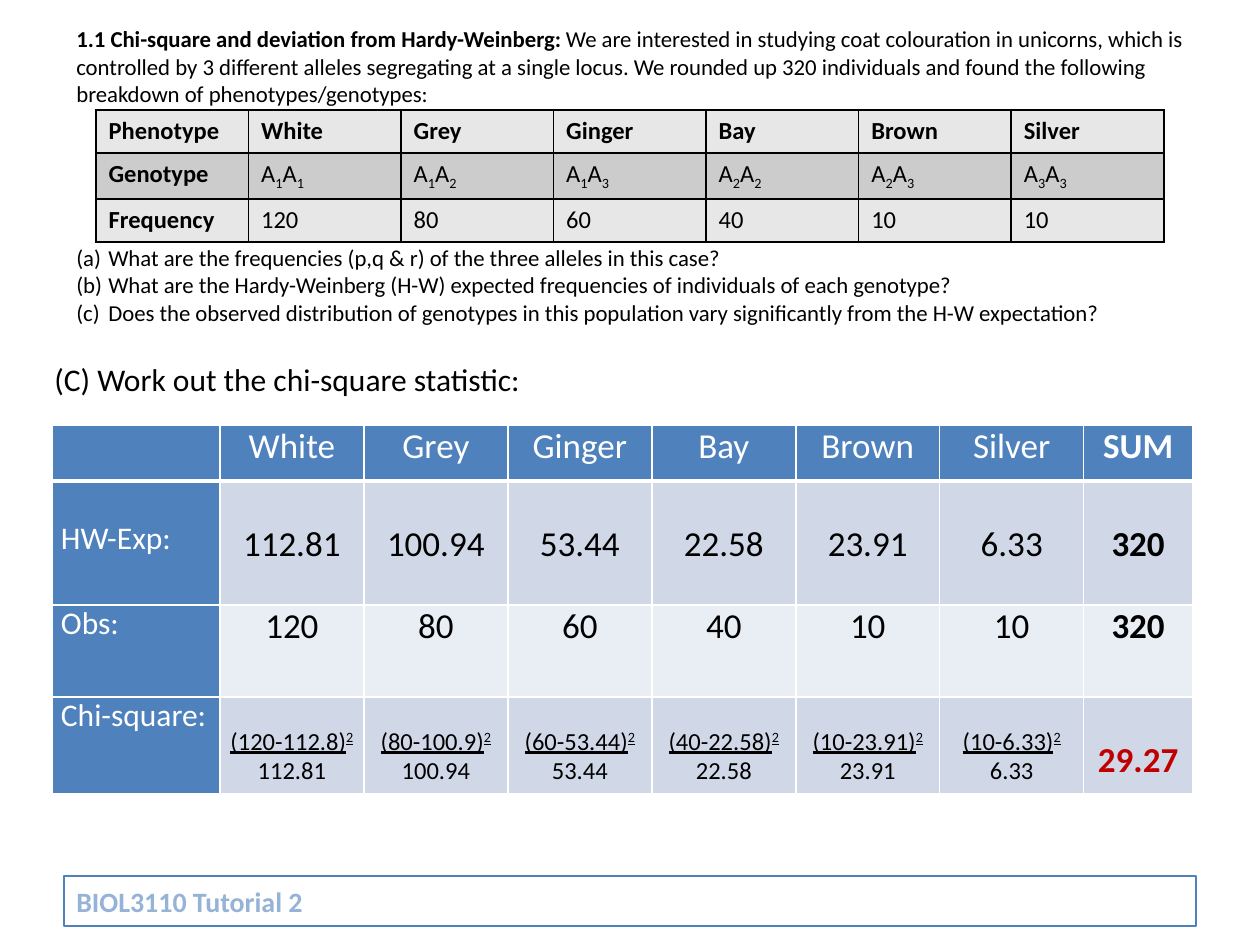
from lxml.etree import SubElement
from pptx import Presentation
from pptx.dml.color import RGBColor
from pptx.enum.shapes import MSO_SHAPE as Shape
from pptx.enum.text import MSO_ANCHOR as Anchor, PP_ALIGN as Align
from pptx.oxml.ns import qn
from pptx.util import Emu, Pt

FONT = "Calibri"
COLORS = {
    "white": "FFFFFF", "black": "000000", "blue": "4F81BD", "pale_blue": "95B3D7",
    "light_gray": "E7E7E7", "gray": "CCCCCC",
    "band": "D0D8E8", "light_band": "E9EDF4", "red": "C00000",
}
COATS = ["White", "Grey", "Ginger", "Bay", "Brown", "Silver"]
GENOTYPES = ["11", "12", "13", "22", "23", "33"]
OBSERVED = ["120", "80", "60", "40", "10", "10"]
EXPECTED = ["112.81", "100.94", "53.44", "22.58", "23.91", "6.33"]
DIFFERENCES = ["120-112.8", "80-100.9", "60-53.44", "40-22.58", "10-23.91", "10-6.33"]
QUESTIONS = [
    "What are the frequencies (p,q & r) of the three alleles in this case?",
    "What are the Hardy-Weinberg (H-W) expected frequencies of individuals of each genotype?",
    "Does the observed distribution of genotypes in this population vary significantly "
    "from the H-W expectation?",
]


def px(count):
    return Emu(round(count * 914400 / 126))


def rgb(name):
    return RGBColor.from_string(COLORS[name])


def add_span(para, text, size, color="black", bold=False, underline=False, baseline=0):
    span = para.add_run()
    span.text = text
    font = span.font
    font.name, font.size, font.bold = FONT, Pt(size), bold
    font.underline = underline
    font.color.rgb = rgb(color)
    if baseline:
        span._r.get_or_add_rPr().set("baseline", str(baseline * 1000))


def add_text_box(page, box):
    frame = page.shapes.add_textbox(*map(px, box)).text_frame
    frame.word_wrap = True
    return frame


def add_plain_table(page, box, rows, columns):
    table = page.shapes.add_table(rows, columns, *map(px, box)).table
    table.first_row = table.horz_banding = False
    return table


def style_cell(cell, fill, line, top=1, bottom=1):
    """Draw the four borders of a cell, then its fill, in schema order."""
    properties = cell._tc.get_or_add_tcPr()
    for side, width in (("L", 1), ("R", 1), ("T", top), ("B", bottom)):
        border = SubElement(properties, qn(f"a:ln{side}"), w=str(Pt(width)))
        solid = SubElement(border, qn("a:solidFill"))
        SubElement(solid, qn("a:srgbClr"), val=COLORS[line])
    cell.fill.solid()
    cell.fill.fore_color.rgb = rgb(fill)


def add_footer(page, box):
    bar = page.shapes.add_shape(Shape.RECTANGLE, *map(px, box))
    bar.shadow.inherit = False
    bar.fill.solid()
    bar.fill.fore_color.rgb = rgb("white")
    bar.line.color.rgb = rgb("blue")
    bar.line.width = Pt(0.75)
    bar.text_frame.vertical_anchor = Anchor.MIDDLE
    para = bar.text_frame.paragraphs[0]
    para.alignment = Align.LEFT
    add_span(para, "BIOL3110 Tutorial 2", 16, "pale_blue", bold=True)


def add_problem(page, box):
    """Place the introduction and, below room for the genotype table, the questions."""
    frame = add_text_box(page, box)
    intro = frame.paragraphs[0]
    add_span(intro, "1.1 Chi-square and deviation from Hardy-Weinberg:", 13, bold=True)
    add_span(intro, " We are interested in studying coat colouration in unicorns, which is "
             "controlled by 3 different alleles segregating at a single locus. We rounded up "
             "320 individuals and found the following breakdown of phenotypes/genotypes:", 13)
    for index, question in enumerate(QUESTIONS):
        para = frame.add_paragraph()
        properties = para._p.get_or_add_pPr()
        properties.set("marL", str(px(32)))
        properties.set("indent", str(-px(32)))
        if index == 0:
            para.space_before = Pt(78)
        SubElement(properties, qn("a:buFont"), typeface=FONT)
        SubElement(properties, qn("a:buAutoNum"), type="alphaLcParenBoth")
        add_span(para, question, 13)


def add_genotype_table(page, box):
    rows = [["Phenotype", *COATS], ["Genotype", *GENOTYPES], ["Frequency", *OBSERVED]]
    table = add_plain_table(page, box, len(rows), len(rows[0]))
    for row, values in enumerate(rows):
        for column, value in enumerate(values):
            cell = table.cell(row, column)
            style_cell(cell, "gray" if row == 1 else "light_gray", "black")
            para = cell.text_frame.paragraphs[0]
            if row == 1 and column:
                for allele in value:
                    add_span(para, "A", 14)
                    add_span(para, allele, 14, baseline=-25)
            else:
                add_span(para, value, 14, bold=row == 0 or column == 0)


def add_heading(page, box):
    para = add_text_box(page, box).paragraphs[0]
    add_span(para, "(C) Work out the chi-square statistic:", 18)


def add_fraction(frame, difference, divisor):
    top, bottom = frame.paragraphs[0], frame.add_paragraph()
    top.alignment = bottom.alignment = Align.CENTER
    add_span(top, f"({difference})", 14, underline=True)
    add_span(top, "2", 14, underline=True, baseline=30)
    add_span(bottom, divisor, 14)


def add_chi_square_table(page, box):
    rows = [
        ["", *COATS, "SUM"],
        ["HW-Exp:", *EXPECTED, "320"],
        ["Obs:", *OBSERVED, "320"],
        ["Chi-square:", *DIFFERENCES, "29.27"],
    ]
    fills = ["blue", "band", "light_band", "band"]
    table = add_plain_table(page, box, len(rows), len(rows[0]))
    for column, width in zip(table.columns, [168] + [144] * 6 + [109]):
        column.width = px(width)
    for row, height in zip(table.rows, [56, 124, 92, 97]):
        row.height = px(height)
    last = len(rows[0]) - 1
    for row, values in enumerate(rows):
        for column, value in enumerate(values):
            cell = table.cell(row, column)
            is_label, is_sum = column == 0, column == last
            is_fraction = row == 3 and not is_label and not is_sum
            style_cell(cell, "blue" if is_label else fills[row], "white",
                       top=3 if row == 1 else 1, bottom=3 if row == 0 else 1)
            size = 18 if is_label else 14 if is_fraction else 20
            # Some cells start one text line below the top edge.
            lowered = row == 1 or (row == 3 and not is_label)
            cell.margin_left = cell.margin_right = px(9)
            cell.margin_top = Pt(size * 1.22) if lowered else 0
            cell.margin_bottom = 0
            if is_fraction:
                add_fraction(cell.text_frame, value, EXPECTED[column - 1])
            elif value:
                para = cell.text_frame.paragraphs[0]
                para.alignment = Align.LEFT if is_label else Align.CENTER
                color = "white" if is_label or row == 0 else "black"
                if row == 3 and is_sum:
                    color = "red"
                add_span(para, value, size, color, bold=is_sum)


def main():
    deck = Presentation()
    deck.slide_width, deck.slide_height = px(1260), px(945)
    page = deck.slides.add_slide(deck.slide_layouts[6])
    add_footer(page, (64, 876, 1132, 50))
    add_problem(page, (64, 19, 1132, 373))
    add_genotype_table(page, (96, 110, 1068, 129))
    add_heading(page, (42, 354, 1162, 441))
    add_chi_square_table(page, (52, 425, 1141, 369))
    deck.save("out.pptx")


if __name__ == "__main__":
    main()
